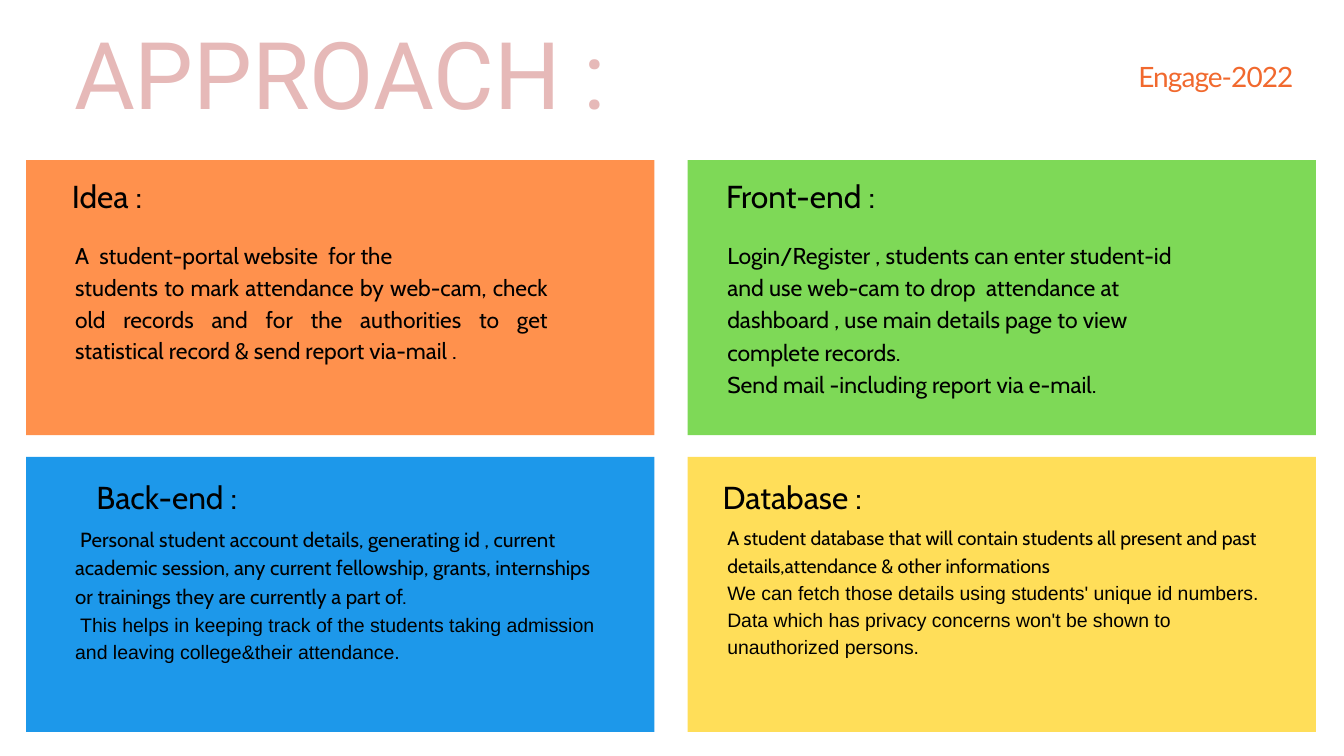
from pptx import Presentation
from pptx.dml.color import RGBColor
from pptx.enum.shapes import MSO_SHAPE as Shape
from pptx.enum.text import MSO_ANCHOR as Anchor, MSO_AUTO_SIZE as AutoSize, PP_ALIGN as Align
from pptx.util import Cm, Pt

COLORS = {
    "idea": "FF914D", "front": "7ED957", "back": "1D98EA", "data": "FFDE59",
    "title": "E6B9B8", "tag": "F1692E", "text": "000000",
}
LEFT, TOP = 0.99, 6.05
PANEL_WIDTH, PANEL_HEIGHT = 23.75, 10.4
COLUMN_STEP, ROW_STEP = 25, 11.22

# Lengths in cm; each heading is (text, x, y, width), each body (x, y, width, height),
# and each paragraph (text, font, size, line spacing), all relative to the panel
PANELS = [
    {"fill": "idea", "cell": (0, 0), "heading": ("Idea :", 0.15, 0.38, 5.82),
     "body": (1.85, 2.92, 17.86, 5.84), "align": Align.JUSTIFY, "paras": [
        ("A  student-portal website  for the", "Cabin", 24.4, 34.1),
        ("students to mark attendance by web-cam, check old records and for the "
         "authorities to get statistical record & send report via-mail .", "Cabin", 24.4, 34.1)]},
    {"fill": "front", "cell": (1, 0), "heading": ("Front-end :", 0.84, 0.38, 6.86),
     "body": (1.5, 2.92, 17.86, 5.94), "paras": [
        ("Login/Register , students can enter student-id and use web-cam to drop  attendance at "
         "dashboard , use main details page to view complete records.", "Cabin", 24.6, 34.4),
        ("Send mail -including report via e-mail.", "Cabin", 24.6, 34.4)]},
    {"fill": "back", "cell": (0, 1), "heading": ("Back-end :", 0.91, 0.56, 8.81),
     "body": (1.85, 2.49, 20, 7.24), "indent": 0.19, "paras": [
        ("Personal student account details, generating id , current academic session, any current "
         "fellowship, grants, internships or trainings they are currently a part of.",
         "Cabin", 21.9, 30.7),
        ("This helps in keeping track of the students taking admission and leaving "
         "college&their attendance.", "Arial", 20.9, 29.3)]},
    {"fill": "data", "cell": (1, 1), "heading": ("Database :", 0.66, 0.56, 6.6),
     "body": (1.5, 2.49, 20.14, 7.95), "paras": [
        ("A student database that will contain students all present and past "
         "details,attendance & other informations", "Cabin", 20.8, 29.1),
        ("We can fetch those details using students' unique id numbers.", "Arial", 20.8, 29.1),
        ("Data which has privacy concerns won't be shown to unauthorized persons.",
         "Arial", 20.8, 29.1)]},
]


def rgb(name):
    return RGBColor.from_string(COLORS[name])


def place(shape, left, top, width, height):
    """Position a text shape and strip its insets."""
    shape.left, shape.top, shape.width, shape.height = map(Cm, (left, top, width, height))
    frame = shape.text_frame
    frame.word_wrap = True
    frame.auto_size = AutoSize.NONE
    frame.vertical_anchor = Anchor.TOP
    frame.margin_left = frame.margin_right = frame.margin_top = frame.margin_bottom = 0
    return frame


def add_frame(page, *bounds):
    return place(page.shapes.add_textbox(0, 0, 0, 0), *bounds)


def write(para, text, font="Cabin", size=34, leading=47.6, color="text",
          align=Align.LEFT, indent=0, tracking=0):
    """Fill one paragraph with a formatted span."""
    if indent:
        para._p.get_or_add_pPr().set("indent", str(Cm(indent)))
    para.alignment = align
    para.line_spacing = Pt(leading)
    span = para.add_run()
    span.text = text
    span.font.name = font
    span.font.size = Pt(size)
    span.font.color.rgb = rgb(color)
    if tracking:
        span.font._element.set("spc", str(tracking * 100))


def add_header(page, left, top, width):
    # Title, centred over the left column
    title = place(page.shapes.title, left, top, PANEL_WIDTH, 3.2)
    write(title.paragraphs[0], "APPROACH :", font="Roboto", size=100, leading=90,
          color="title", align=Align.CENTER)
    # Event tag at the right
    tag = add_frame(page, left + width - 13.3, top + 0.56, 12.45, 1.24)
    write(tag.paragraphs[0], "Engage-2022", font="Lato", size=30, leading=36.6,
          color="tag", align=Align.RIGHT, tracking=-1)


def add_panel(page, panel, left, top, width, height):
    # Coloured background
    card = page.shapes.add_shape(Shape.RECTANGLE, Cm(left), Cm(top), Cm(width), Cm(height))
    card.shadow.inherit = False
    card.fill.solid()
    card.fill.fore_color.rgb = rgb(panel["fill"])
    card.line.fill.background()
    # Heading
    text, x, y, heading_width = panel["heading"]
    heading = add_frame(page, left + x, top + y, heading_width, 1.6)
    write(heading.paragraphs[0], text, align=Align.CENTER)
    # Body
    x, y, body_width, body_height = panel["body"]
    body = add_frame(page, left + x, top + y, body_width, body_height)
    for index, (text, font, size, leading) in enumerate(panel["paras"]):
        para = body.add_paragraph() if index else body.paragraphs[0]
        write(para, text, font=font, size=size, leading=leading,
              align=panel.get("align", Align.LEFT), indent=panel.get("indent", 0))


def main():
    deck = Presentation()
    deck.slide_width, deck.slide_height = Cm(50.8), Cm(28.58)
    page = deck.slides.add_slide(deck.slide_layouts[5])
    add_header(page, LEFT, 1.68, COLUMN_STEP + PANEL_WIDTH)
    for panel in PANELS:
        column, row = panel["cell"]
        add_panel(page, panel, LEFT + column * COLUMN_STEP, TOP + row * ROW_STEP,
                  PANEL_WIDTH, PANEL_HEIGHT)
    deck.save("out.pptx")


if __name__ == "__main__":
    main()
